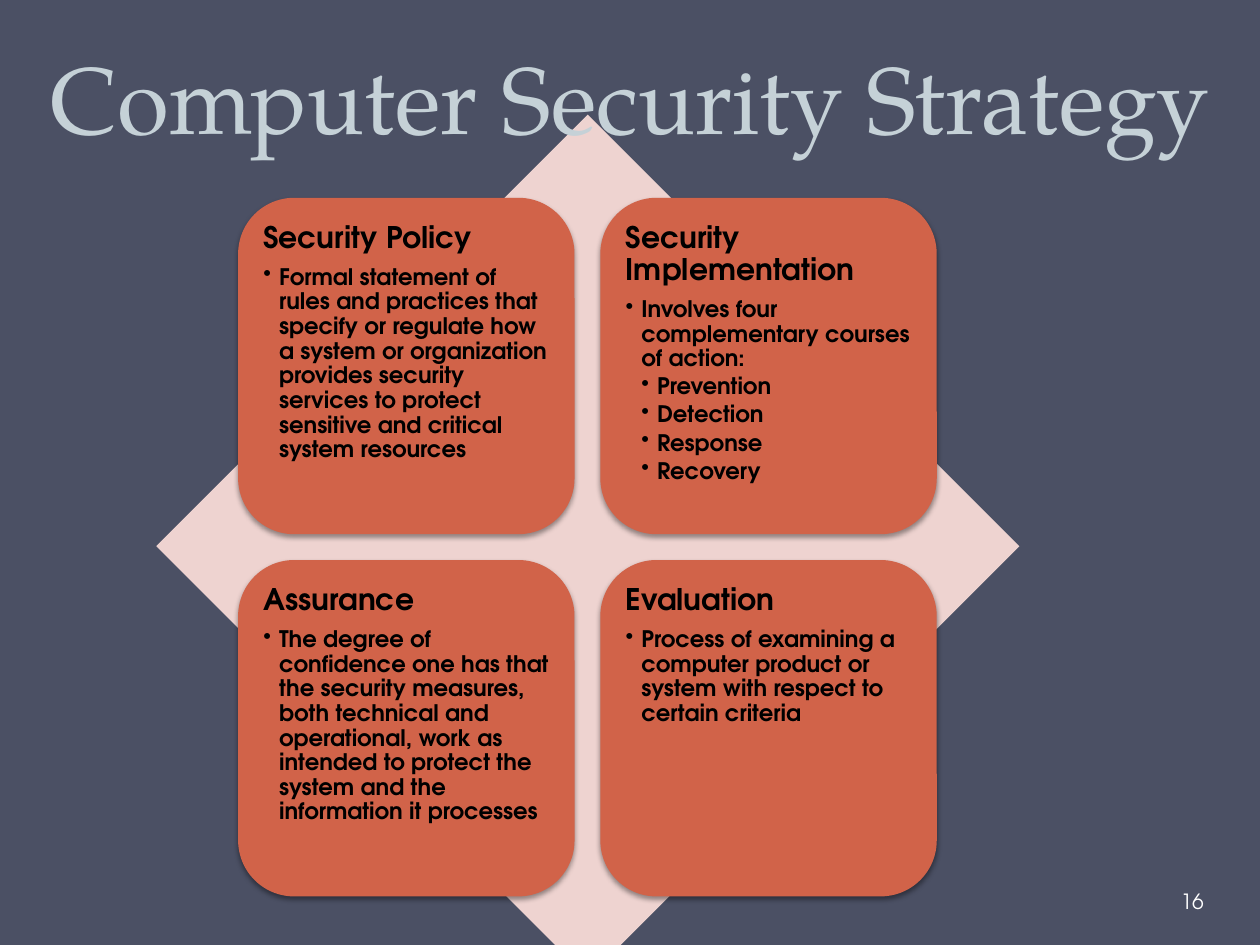
from lxml.etree import SubElement
from pptx import Presentation
from pptx.dml.color import RGBColor as RGB
from pptx.enum.shapes import MSO_SHAPE as Shape
from pptx.enum.text import MSO_ANCHOR as Anchor, MSO_AUTO_SIZE as Fit, PP_ALIGN as Align
from pptx.oxml.ns import qn
from pptx.util import Inches, Pt

THEME = {
    "back": RGB.from_string("4B5064"),
    "diamond": RGB.from_string("EED3D0"),
    "card": RGB.from_string("D16349"),
    "ink": RGB.from_string("000000"),
    "title": RGB.from_string("C5D1D7"),
    "number": RGB.from_string("FFFFFF"),
    "serif": "TeX Gyre Pagella",
    "sans": "TeX Gyre Adventor",
    "title_size": Pt(54),
    "head_size": Pt(17),
    "body_size": Pt(13),
    "number_size": Pt(12),
}

# Each card lists its lines as (level, text); level 0 is the heading.
CARDS = [
    [(0, "Security Policy"),
     (1, "Formal statement of rules and practices that specify or regulate how "
         "a system or organization provides security services to protect "
         "sensitive and critical system resources")],
    [(0, "Security Implementation"),
     (1, "Involves four complementary courses of action:"),
     (2, "Prevention"), (2, "Detection"), (2, "Response"), (2, "Recovery")],
    [(0, "Assurance"),
     (1, "The degree of confidence one has that the security measures, both "
         "technical and operational, work as intended to protect the system "
         "and the information it processes")],
    [(0, "Evaluation"),
     (1, "Process of examining a computer product or system with respect to "
         "certain criteria")],
]
LEFT, TOP, SIDE, STEP = 1.89, 1.57, 2.67, 2.875
INDENT = 0.125


def style(font, name, size, color, bold=False):
    font.name, font.size, font.bold = name, size, bold
    font.color.rgb = color


def add_block(group, kind, box, color):
    """Add a plain filled shape without line or shadow."""
    block = group.shapes.add_shape(kind, *map(Inches, box))
    block.shadow.inherit = False
    block.fill.solid()
    block.fill.fore_color.rgb = color
    block.line.fill.background()
    return block


deck = Presentation()
deck.slide_width, deck.slide_height = Inches(10), Inches(7.5)
slide = deck.slides.add_slide(deck.slide_layouts[5])
slide.background.fill.solid()
slide.background.fill.fore_color.rgb = THEME["back"]

# Diamond with the four cards
group = slide.shapes.add_group_shape()
add_block(group, Shape.DIAMOND, (1.24, 0.91, 6.85, 6.85), THEME["diamond"])

for i, lines in enumerate(CARDS):
    row, col = divmod(i, 2)
    box = (LEFT + col * STEP, TOP + row * STEP, SIDE, SIDE)
    card = add_block(group, Shape.ROUNDED_RECTANGLE, box, THEME["card"])

    effects = card._element.spPr.find(qn("a:effectLst"))
    shade = SubElement(effects, qn("a:outerShdw"), blurRad=str(Pt(3.1)),
                       dist=str(Pt(1.6)), dir="5400000", rotWithShape="0")
    tint = SubElement(shade, qn("a:srgbClr"), val="000000")
    SubElement(tint, qn("a:alpha"), val="38000")

    frame = card.text_frame
    frame.word_wrap = True
    frame.vertical_anchor = Anchor.TOP
    for edge in ("left", "top", "right", "bottom"):
        setattr(frame, f"margin_{edge}", Inches(0.07))

    for n, (level, text) in enumerate(lines):
        para = frame.add_paragraph() if n else frame.paragraphs[0]
        look = {"text": text, "level": level, "alignment": Align.LEFT,
                "line_spacing": 0.9, "space_after": Pt(2 if level else 6)}
        for key, value in look.items():
            setattr(para, key, value)
        if level:
            props = para._p.get_or_add_pPr()
            props.set("marL", str(Inches(INDENT * level)))
            props.set("indent", str(Inches(-INDENT)))
            SubElement(props, qn("a:buChar"), char="•")
        size = THEME["body_size" if level else "head_size"]
        style(para.runs[0].font, THEME["sans"], size, THEME["ink"], True)

# Title, in front of the diamond
title = slide.shapes.title
place = {"left": 0, "top": 0.02, "width": 10, "height": 1.25}
for key, value in place.items():
    setattr(title, key, Inches(value))
frame = title.text_frame
frame.text = "Computer Security Strategy"
frame.auto_size = Fit.NONE
frame.word_wrap = True
frame.vertical_anchor = Anchor.BOTTOM
para = frame.paragraphs[0]
para.alignment = Align.CENTER
para.line_spacing = Pt(58)
style(para.runs[0].font, THEME["serif"], THEME["title_size"], THEME["title"])
group.element.addnext(title.element)

# Slide number
number = slide.shapes.add_textbox(*map(Inches, (9.34, 6.95, 0.61, 0.4)))
frame = number.text_frame
frame.text = "16"
frame.word_wrap = True
frame.vertical_anchor = Anchor.MIDDLE
frame.margin_left = Inches(0.03)
frame.margin_right = Inches(0.05)
style(frame.paragraphs[0].runs[0].font, THEME["sans"], THEME["number_size"],
      THEME["number"])

deck.save("out.pptx")
